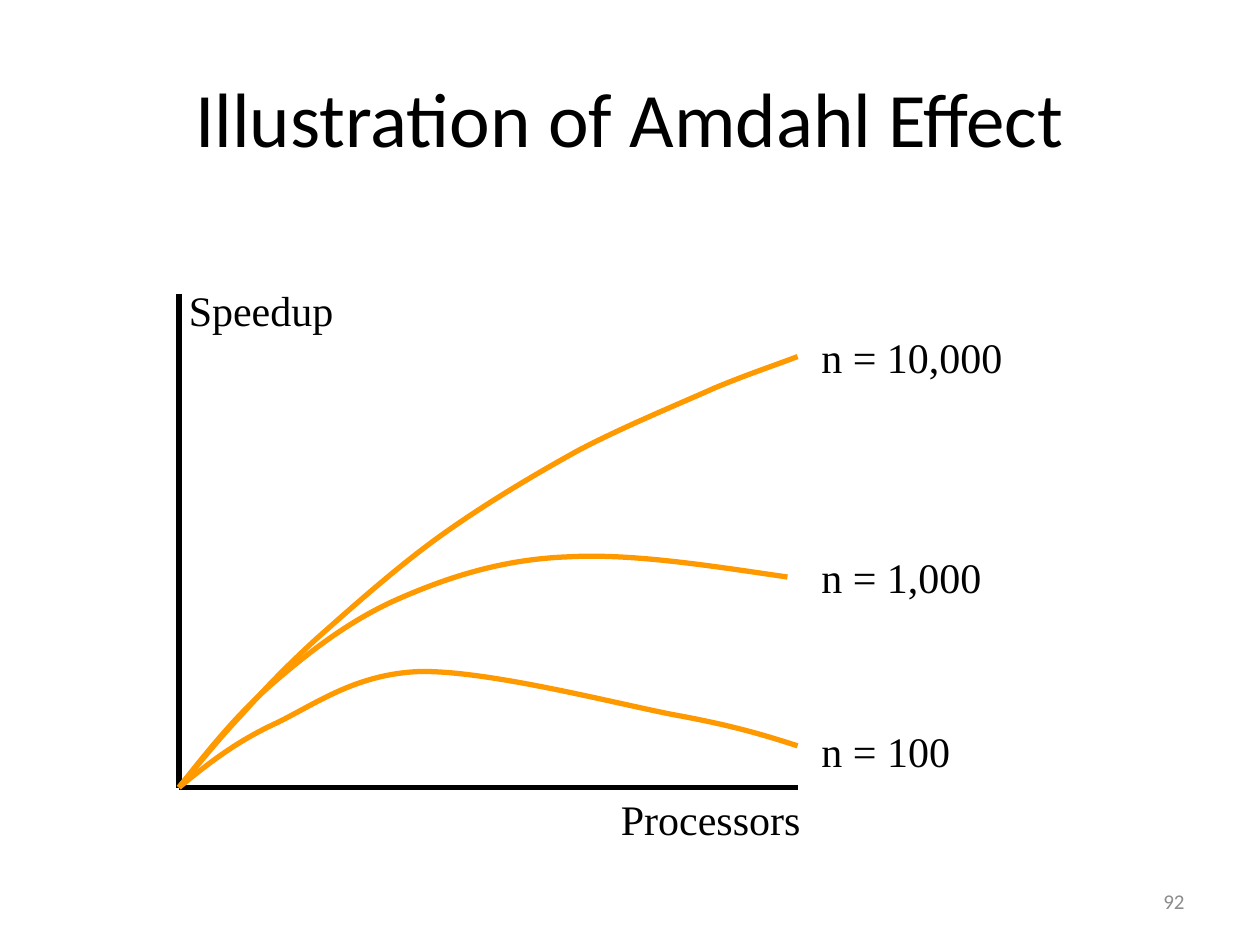
import pptx
import pptx.dml.color
import pptx.enum.shapes
import pptx.enum.text
import pptx.oxml
import pptx.oxml.ns
import pptx.util
from pptx.util import Inches

COLORS = {"ink": "000000", "curve": "FF9900", "page": "8C8C8C"}
PLOT = (1.42, 2.33, 4.91, 3.92)  # left, top, width, height

# Bezier points as (right, up) from the origin, three to a segment;
# label_up is the height of the label's top edge.
CURVES = [
    {"label": "n = 100", "label_up": 0.54, "label_width": 1.22, "points": [
        (0.21, 0.17), (0.43, 0.35), (0.75, 0.5),
        (1.07, 0.65), (1.39, 0.9), (1.91, 0.92),
        (2.44, 0.93), (3.41, 0.68), (3.91, 0.58),
        (4.41, 0.49), (4.66, 0.41), (4.91, 0.33)]},
    {"label": "n = 1,000", "label_up": 1.92, "label_width": 1.47, "points": [
        (0.23, 0.29), (0.46, 0.58), (0.75, 0.83),
        (1.04, 1.08), (1.36, 1.33), (1.75, 1.5),
        (2.14, 1.67), (2.57, 1.81), (3.08, 1.83),
        (3.59, 1.86), (4.21, 1.76), (4.83, 1.67)]},
    {"label": "n = 10,000", "label_up": 3.67, "label_width": 1.64, "points": [
        (0.16, 0.19), (0.32, 0.39), (0.5, 0.58),
        (0.68, 0.78), (0.82, 0.93), (1.08, 1.17),
        (1.34, 1.4), (1.73, 1.75), (2.08, 2),
        (2.43, 2.25), (2.8, 2.47), (3.16, 2.67),
        (3.52, 2.86), (3.96, 3.04), (4.25, 3.17),
        (4.54, 3.29), (4.73, 3.35), (4.91, 3.42)]},
]


def rgb(name):
    return pptx.dml.color.RGBColor.from_string(COLORS[name])


def style_text(frame, size, font, color, align):
    paragraph = frame.paragraphs[0]
    paragraph.alignment = align
    for run in paragraph.runs:
        run.font.size = pptx.util.Pt(size)
        run.font.name = font
        run.font.color.rgb = rgb(color)


def style_line(line, color):
    line.color.rgb = rgb(color)
    line.width = pptx.util.Pt(3)


def add_label(shapes, text, left, top, width):
    label = shapes.add_textbox(*map(Inches, (left, top, width, 0.5)))
    frame = label.text_frame
    frame.text = text
    frame.word_wrap = False
    frame.auto_size = pptx.enum.text.MSO_AUTO_SIZE.SHAPE_TO_FIT_TEXT
    style_text(frame, 24, "Times New Roman", "ink", pptx.enum.text.PP_ALIGN.LEFT)


def add_axis(shapes, start, end):
    axis = shapes.add_connector(pptx.enum.shapes.MSO_CONNECTOR.STRAIGHT,
                                *map(Inches, start + end))
    style_line(axis.line, "ink")
    axis._element.spPr.append(pptx.oxml.parse_xml(
        f"<a:effectLst {pptx.oxml.ns.nsdecls('a')}/>"))


def bend_segments(outline):
    """Turn each three straight segments of an outline into one Bezier segment."""
    qn = pptx.oxml.ns.qn
    segments = list(outline._element.iter(qn("a:lnTo")))
    for first, second, third in zip(*[iter(segments)] * 3):
        for follower in (second, third):
            first.append(follower[0])
            follower.getparent().remove(follower)
        first.tag = qn("a:cubicBezTo")


def add_curve(slide, curve, left, bottom, width):
    group = slide.shapes.add_group_shape()
    builder = group.shapes.build_freeform(Inches(left), Inches(bottom))
    builder.add_line_segments(
        [(Inches(left + right), Inches(bottom - up)) for right, up in curve["points"]],
        close=False)
    outline = builder.convert_to_shape()
    bend_segments(outline)
    outline.shadow.inherit = False
    outline.fill.background()
    style_line(outline.line, "curve")
    add_label(group.shapes, curve["label"], left + width + 0.09,
              bottom - curve["label_up"], curve["label_width"])


def add_plot(slide, left, top, width, height):
    bottom = top + height
    origin = (left, bottom)
    add_axis(slide.shapes, (left, top), origin)
    add_axis(slide.shapes, origin, (left + width, bottom))
    for curve in CURVES:
        add_curve(slide, curve, left, bottom, width)
    add_label(slide.shapes, "Speedup", left - 0.02, top - 0.12, 1.35)
    add_label(slide.shapes, "Processors", left + width - 1.5, bottom, 1.63)


def add_title(slide, left, top, width, height):
    title = slide.shapes.title
    title.left, title.top, title.width, title.height = map(
        Inches, (left, top, width, height))
    title.text_frame.text = "Illustration of Amdahl Effect"
    title.text_frame.vertical_anchor = pptx.enum.text.MSO_ANCHOR.MIDDLE
    style_text(title.text_frame, 44, "Calibri", "ink", pptx.enum.text.PP_ALIGN.CENTER)


def add_page_number(slide, left, top, width, height):
    number = slide.shapes.add_textbox(*map(Inches, (left, top, width, height)))
    number.text_frame.text = "92"
    number.text_frame.word_wrap = True
    number.text_frame.vertical_anchor = pptx.enum.text.MSO_ANCHOR.MIDDLE
    style_text(number.text_frame, 12, "Calibri", "page", pptx.enum.text.PP_ALIGN.RIGHT)


def main():
    deck = pptx.Presentation()
    deck.slide_width, deck.slide_height = Inches(10), Inches(7.5)
    slide = deck.slides.add_slide(deck.slide_layouts.get_by_name("Title Only"))
    add_page_number(slide, 7.17, 6.95, 2.33, 0.4)
    add_title(slide, 0.5, 0.3, 9, 1.25)
    add_plot(slide, *PLOT)
    deck.save("out.pptx")


if __name__ == "__main__":
    main()
